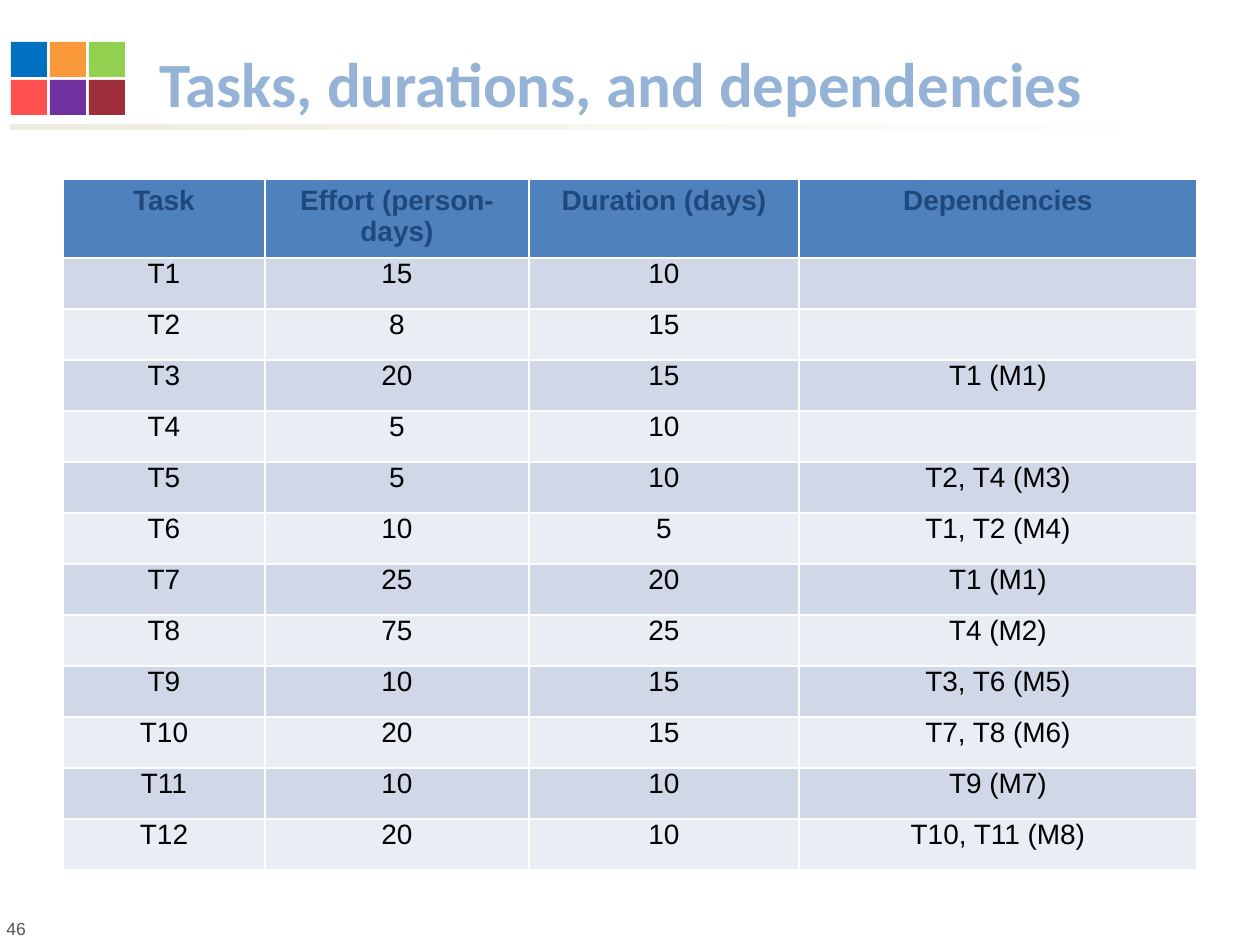
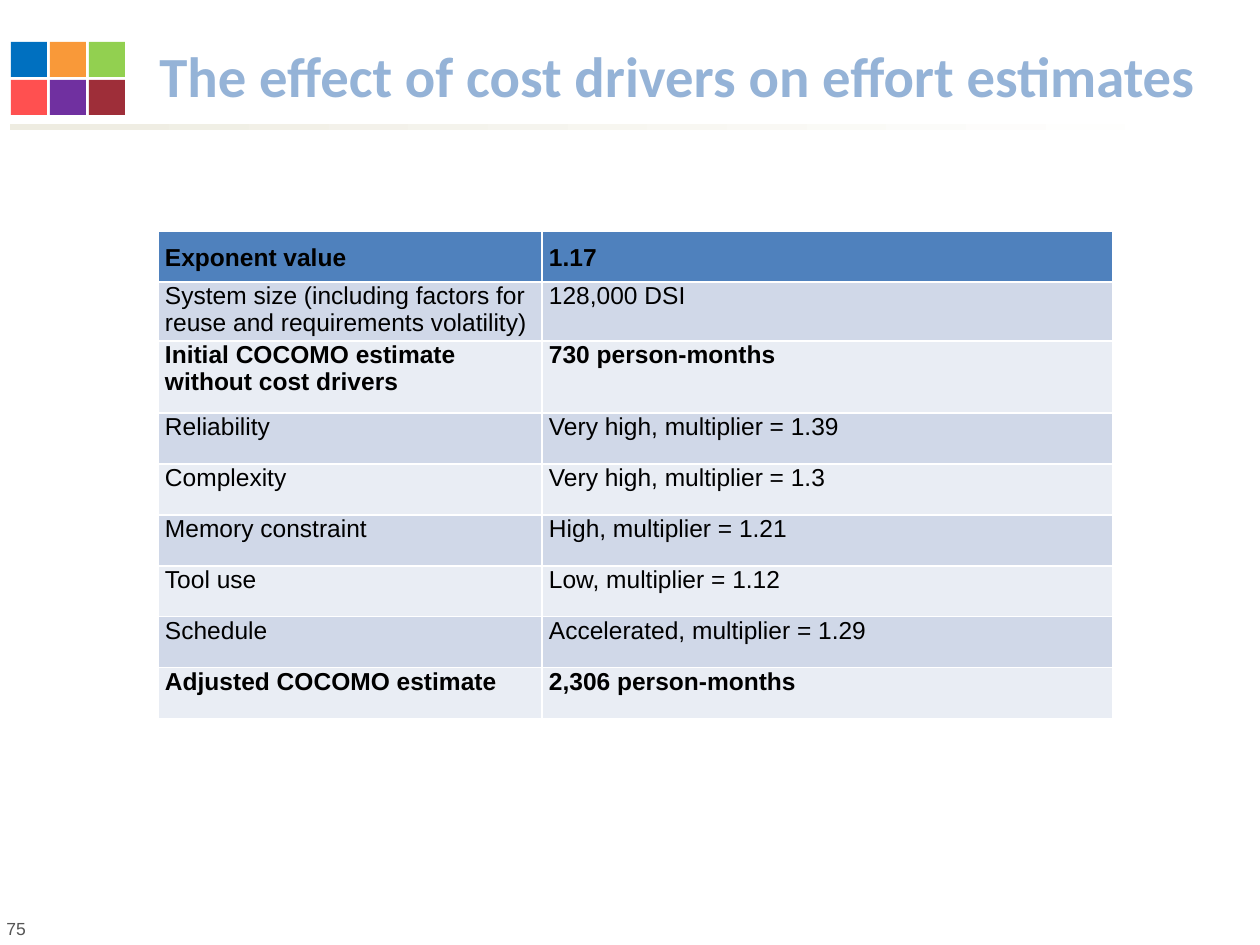
from pptx import Presentation
from pptx.dml.color import RGBColor
from pptx.enum.shapes import MSO_SHAPE
from pptx.enum.text import MSO_ANCHOR, PP_ALIGN
from pptx.util import Emu, Pt

SCALE = 914400 / 126

TITLE_BLUE = RGBColor(0x95, 0xB3, 0xD7)
HEADER_FILL = RGBColor(0x4F, 0x81, 0xBD)
HEADER_TEXT = RGBColor(0x1F, 0x49, 0x7D)
BAND_DARK = RGBColor(0xD0, 0xD8, 0xE8)
BAND_LIGHT = RGBColor(0xE9, 0xED, 0xF4)
RULE_CREAM = RGBColor(0xEE, 0xEC, 0xE1)
WHITE = RGBColor(0xFF, 0xFF, 0xFF)
BLACK = RGBColor(0x00, 0x00, 0x00)
FOOTER_GREY = RGBColor(0x55, 0x55, 0x55)
SQUARE_COLOURS = [
    [RGBColor(0x00, 0x70, 0xC0), RGBColor(0xF9, 0x99, 0x39), RGBColor(0x92, 0xD0, 0x50)],
    [RGBColor(0xFF, 0x50, 0x50), RGBColor(0x70, 0x30, 0xA0), RGBColor(0x9E, 0x2E, 0x39)],
]

TASK_ROWS = [
    ("Task", "Effort (person-days)", "Duration (days)", "Dependencies"),
    ("T1", "15", "10", ""),
    ("T2", "8", "15", ""),
    ("T3", "20", "15", "T1 (M1)"),
    ("T4", "5", "10", ""),
    ("T5", "5", "10", "T2, T4 (M3)"),
    ("T6", "10", "5", "T1, T2 (M4)"),
    ("T7", "25", "20", "T1 (M1)"),
    ("T8", "75", "25", "T4 (M2)"),
    ("T9", "10", "15", "T3, T6 (M5)"),
    ("T10", "20", "15", "T7, T8 (M6)"),
    ("T11", "10", "10", "T9 (M7)"),
    ("T12", "20", "10", "T10, T11 (M8)"),
]
COST_ROWS = [
    ("Exponent value", "1.17"),
    ("System size (including factors for reuse and requirements volatility)", "128,000 DSI"),
    ("Initial COCOMO estimate without cost drivers", "730 person-months"),
    ("Reliability", "Very high, multiplier = 1.39"),
    ("Complexity", "Very high, multiplier = 1.3"),
    ("Memory constraint", "High, multiplier = 1.21"),
    ("Tool use", "Low, multiplier = 1.12"),
    ("Schedule", "Accelerated, multiplier = 1.29"),
    ("Adjusted COCOMO estimate", "2,306 person-months"),
]

SLIDES = [
    dict(
        number="46", title="Tasks, durations, and dependencies",
        title_size=36, title_box=(147, 40, 1092, 86),
        rows=TASK_ROWS, left=63, top=179, widths=[202, 264, 270, 398],
        size=16, header_text=HEADER_TEXT, bold_rows={0},
        alignments=[PP_ALIGN.CENTER] * 4, space_after=0,
        header_margins=(6, 6), body_margins=(0, 6), tall_margins={},
    ),
    dict(
        number="75", title="The effect of cost drivers on effort estimates",
        title_size=32.4, title_box=(147, 42, 1102, 73),
        rows=COST_ROWS, left=158, top=231, widths=[384, 571],
        size=14, header_text=BLACK, bold_rows={0, 2, 8},
        alignments=[PP_ALIGN.LEFT, PP_ALIGN.JUSTIFY], space_after=3,
        header_margins=(13, 0), body_margins=(0, 0), tall_margins={2: (0, 13)},
    ),
]


def px(value):
    return Emu(round(value * SCALE))


def add_text(slide, box, text, font_name, size, colour, bold=False, anchor=MSO_ANCHOR.TOP):
    shape = slide.shapes.add_textbox(*map(px, box))
    text_frame = shape.text_frame
    text_frame.word_wrap = True
    text_frame.vertical_anchor = anchor
    text_frame.text = text
    font = text_frame.paragraphs[0].runs[0].font
    font.name, font.size, font.bold = font_name, Pt(size), bold
    font.color.rgb = colour


presentation = Presentation()
presentation.slide_width, presentation.slide_height = px(1260), px(945)

for content in SLIDES:
    slide = presentation.slides.add_slide(presentation.slide_layouts[6])

    rule = slide.shapes.add_shape(MSO_SHAPE.RECTANGLE, px(10), px(124), px(1195), px(6))
    rule.shadow.inherit = False
    rule.line.fill.background()
    rule.fill.gradient()
    rule.fill.gradient_angle = 0
    for stop, colour in zip(rule.fill.gradient_stops, (RULE_CREAM, WHITE)):
        stop.color.rgb = colour

    for row_index, colours in enumerate(SQUARE_COLOURS):
        for column_index, colour in enumerate(colours):
            square = slide.shapes.add_shape(
                MSO_SHAPE.RECTANGLE,
                px(11 + 39 * column_index), px(42 + 38 * row_index), px(36), px(35))
            square.shadow.inherit = False
            square.line.fill.background()
            square.fill.solid()
            square.fill.fore_color.rgb = colour

    add_text(slide, (-6, 912, 731, 34), content["number"], "Arial", 10, FOOTER_GREY)
    add_text(slide, content["title_box"], content["title"], "Calibri",
             content["title_size"], TITLE_BLUE, True, MSO_ANCHOR.BOTTOM)

    rows, widths = content["rows"], content["widths"]
    table = slide.shapes.add_table(
        len(rows), len(widths), px(content["left"]), px(content["top"]),
        px(sum(widths)), px(51 * len(rows))).table
    for column, width in zip(table.columns, widths):
        column.width = px(width)

    for row_index, values in enumerate(rows):
        table.rows[row_index].height = px(51)
        if row_index == 0:
            fill, colour = HEADER_FILL, content["header_text"]
            margins = content["header_margins"]
        else:
            fill, colour = (BAND_DARK if row_index % 2 else BAND_LIGHT), BLACK
            margins = content["tall_margins"].get(row_index, content["body_margins"])
        for column_index, value in enumerate(values):
            cell = table.cell(row_index, column_index)
            cell.fill.solid()
            cell.fill.fore_color.rgb = fill
            cell.margin_left = cell.margin_right = px(7)
            cell.margin_top, cell.margin_bottom = map(px, margins)
            cell.text_frame.text = value
            paragraph = cell.text_frame.paragraphs[0]
            paragraph.alignment = content["alignments"][column_index]
            paragraph.space_after = Pt(content["space_after"])
            for run in paragraph.runs:
                run.font.name = "Arial"
                run.font.size = Pt(content["size"])
                run.font.bold = row_index in content["bold_rows"]
                run.font.color.rgb = colour

presentation.save("out.pptx")
